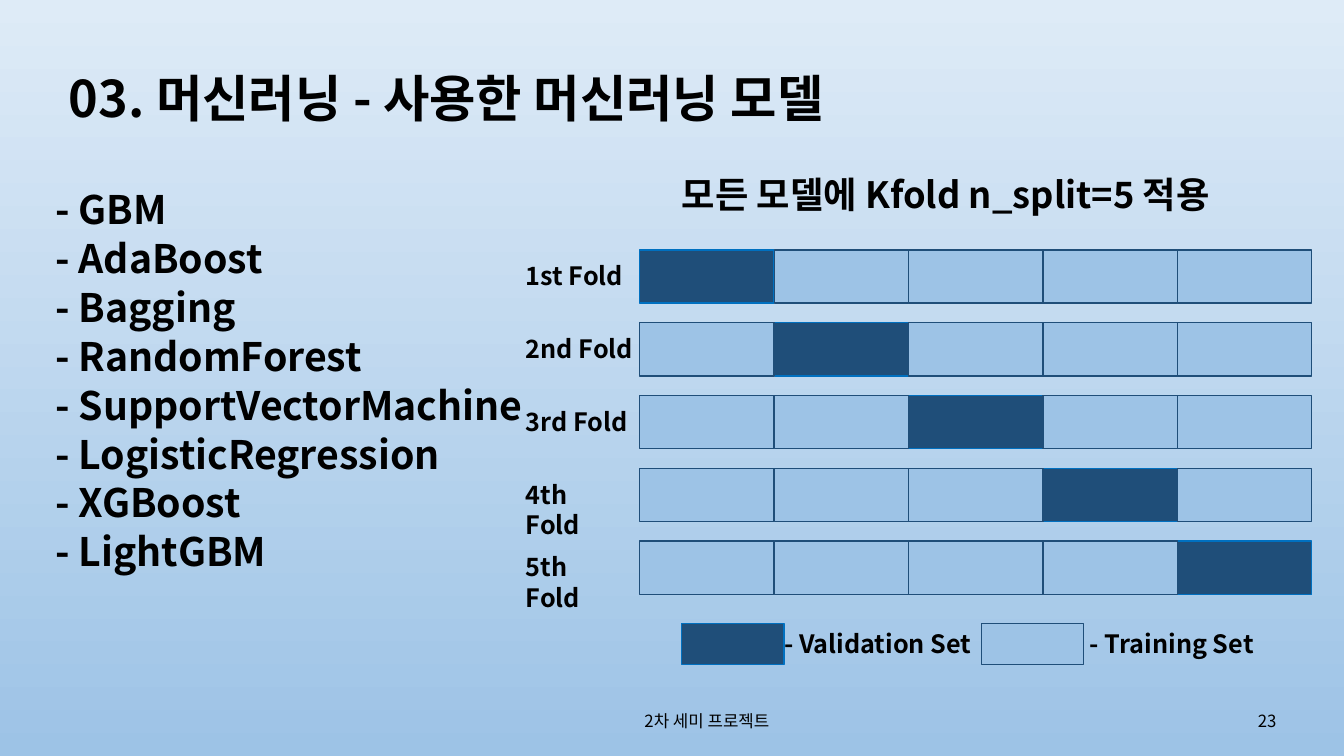
from dataclasses import dataclass
from pptx import Presentation
from pptx.dml.color import RGBColor as RGB
from pptx.enum.shapes import MSO_SHAPE as Shape
from pptx.enum.text import MSO_ANCHOR as Anchor, MSO_AUTO_SIZE as Auto, PP_ALIGN as Align
from pptx.oxml.ns import qn
from pptx.util import Pt


@dataclass(frozen=True)
class Theme:
    font: str = "Noto Sans CJK KR"
    ink: str = "000000"
    sky: str = "DEEBF7"
    pale: str = "9DC3E6"
    dark: str = "1F4E79"
    edge: str = "0070C0"
    title: float = 36
    body: float = 28
    head: float = 25.9
    label: float = 18
    foot: float = 12


THEME = Theme()
MODELS = ["GBM", "AdaBoost", "Bagging", "RandomForest", "SupportVectorMachine",
          "LogisticRegression", "XGBoost", "LightGBM"]
FOLDS = ["1st", "2nd", "3rd", "4th", "5th"]
CELL_W, CELL_H, STEP = 96, 38, 52
GRID_X, GRID_Y = 457, 178.5


def place(shape, x, y, w, h):
    shape.left, shape.top, shape.width, shape.height = Pt(x), Pt(y), Pt(w), Pt(h)


def write(shape, text, size, bold=True, align=Align.LEFT, anchor=Anchor.TOP,
          wrap=True, line=1.0, gap=0):
    """Fill a shape with text; gap is the space before each later paragraph."""
    frame = shape.text_frame
    frame.text = text
    frame.word_wrap = wrap
    frame.auto_size = Auto.NONE
    frame.vertical_anchor = anchor
    for i, para in enumerate(frame.paragraphs):
        para.alignment = align
        para.line_spacing = line
        para.space_before = Pt(gap if i else 0)
        for run in para.runs:
            font = run.font
            font.name, font.size, font.bold = THEME.font, Pt(size), bold
            font.color.rgb = RGB.from_string(THEME.ink)
            east = run._r.get_or_add_rPr().makeelement(qn("a:ea"), {"typeface": THEME.font})
            font._rPr.find(qn("a:latin")).addnext(east)


def add_text(slide, x, y, w, h, text, size, **style):
    box = slide.shapes.add_textbox(Pt(x), Pt(y), Pt(w), Pt(h))
    write(box, text, size, **style)


def add_block(slide, x, y, w, h, valid):
    """Draw a dark validation block or a pale training block."""
    block = slide.shapes.add_shape(Shape.RECTANGLE, Pt(x), Pt(y), Pt(w), Pt(h))
    block.shadow.inherit = False
    block.fill.solid()
    block.fill.fore_color.rgb = RGB.from_string(THEME.dark if valid else THEME.pale)
    block.line.color.rgb = RGB.from_string(THEME.edge if valid else THEME.dark)
    block.line.width = Pt(1)


def add_back(slide):
    fill = slide.background.fill
    fill.gradient()
    fill.gradient_angle = 270
    for stop, color, spot in zip(fill.gradient_stops, (THEME.sky, THEME.pale), (0, 1)):
        stop.color.rgb = RGB.from_string(color)
        stop.position = spot


def add_folds(slide):
    for row, name in enumerate(FOLDS):
        for col in sorted(range(len(FOLDS)), key=lambda c: c != row):
            add_block(slide, GRID_X + col * CELL_W, GRID_Y + row * STEP,
                      CELL_W, CELL_H, col == row)
        width = 94 if row < 3 else 78
        add_text(slide, 368.5, GRID_Y + 4 + row * STEP, width, 29,
                 f"{name} Fold", THEME.label)


def add_legend(slide):
    for x, left, width, name, valid in ((487, 553, 148, "Validation", True),
                                        (701, 771, 132, "Training", False)):
        add_block(slide, x, 445.5, 73, 29, valid)
        add_text(slide, left, 445, width, 29, f"- {name} Set", THEME.label,
                 align=Align.CENTER, wrap=False)


def main():
    deck = Presentation()
    deck.slide_width, deck.slide_height = Pt(960), Pt(540)
    slide = deck.slides.add_slide(deck.slide_layouts[5])
    add_back(slide)

    title = slide.shapes.title
    place(title, 42, 38, 877, 68)
    write(title, "03. 머신러닝 - 사용한 머신러닝 모델", THEME.title,
          anchor=Anchor.MIDDLE, line=0.9)
    add_text(slide, 32.5, 135.5, 366, 370, "\n".join(f"- {m}" for m in MODELS),
             THEME.body, line=0.8, gap=8)
    add_text(slide, 480, 123, 438, 55, "모든 모델에 Kfold n_split=5 적용",
             THEME.head, line=0.9)
    add_folds(slide)
    add_legend(slide)
    add_text(slide, 343, 500, 324, 29, "2차 세미 프로젝트", THEME.foot, bold=False,
             align=Align.CENTER, anchor=Anchor.MIDDLE)
    add_text(slide, 703, 500, 216, 29, "23", THEME.foot, bold=False,
             align=Align.RIGHT, anchor=Anchor.MIDDLE)
    deck.save("out.pptx")


if __name__ == "__main__":
    main()
